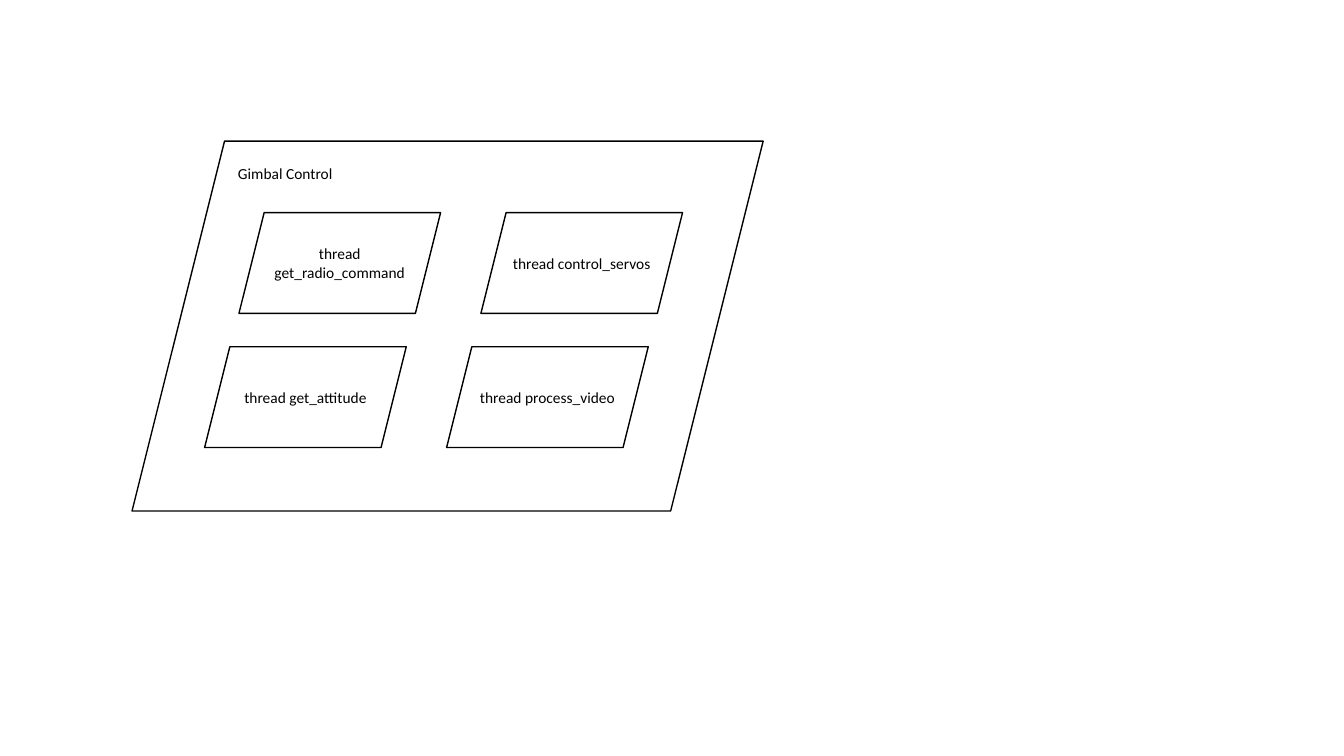
from pptx import Presentation
from pptx.dml.color import RGBColor
from pptx.enum.shapes import MSO_SHAPE
from pptx.enum.text import MSO_ANCHOR, PP_ALIGN
from pptx.util import Inches, Pt

PARALLELOGRAM = MSO_SHAPE.PARALLELOGRAM
MIDDLE = MSO_ANCHOR.MIDDLE
CENTER = PP_ALIGN.CENTER

COLORS = {"ink": "000000"}
FONT = "Calibri"

THREADS = [
    ["thread get_radio_command", "thread control_servos"],
    ["thread get_attitude", "thread process_video"],
]
THREAD_WIDTH, THREAD_HEIGHT = 2, 1
COLUMN_STEP, ROW_STEP = 2.4, 1.33
ROW_SLANT = 0.34


def add_outline(slide, left, top, width, height):
    outline = slide.shapes.add_shape(
        PARALLELOGRAM, Inches(left), Inches(top), Inches(width), Inches(height))
    outline.shadow.inherit = False
    outline.fill.background()
    outline.line.color.rgb = RGBColor.from_string(COLORS["ink"])
    outline.line.width = Pt(1)


def add_label(slide, wording, left, top, width, height):
    label = slide.shapes.add_textbox(
        Inches(left), Inches(top), Inches(width), Inches(height)).text_frame
    label.word_wrap = True
    label.vertical_anchor = MIDDLE
    paragraph = label.paragraphs[0]
    paragraph.alignment = CENTER
    run = paragraph.add_run()
    run.text = wording
    run.font.name = FONT
    run.font.size = Pt(11)
    run.font.color.rgb = RGBColor.from_string(COLORS["ink"])


def add_thread(slide, wording, left, top):
    add_outline(slide, left, top, THREAD_WIDTH, THREAD_HEIGHT)
    add_label(slide, wording, left + 0.11, top + 0.25,
              THREAD_WIDTH - 0.22, THREAD_HEIGHT - 0.5)


def add_process(slide, left, top, width, height):
    """Draw the process with its threads in rows that follow its slant."""
    add_outline(slide, left, top, width, height)
    add_label(slide, "Gimbal Control", left + 0.94, top + 0.12, 1.16, 0.4)
    for row, threads in enumerate(THREADS):
        for column, wording in enumerate(threads):
            add_thread(slide, wording,
                       left + 1.06 + column * COLUMN_STEP - row * ROW_SLANT,
                       top + 0.71 + row * ROW_STEP)


def main():
    deck = Presentation()
    deck.slide_width, deck.slide_height = Inches(13.33), Inches(7.5)
    slide = deck.slides.add_slide(deck.slide_layouts[6])
    add_process(slide, 1.31, 1.4, 6.26, 3.67)
    deck.save("out.pptx")


if __name__ == "__main__":
    main()
